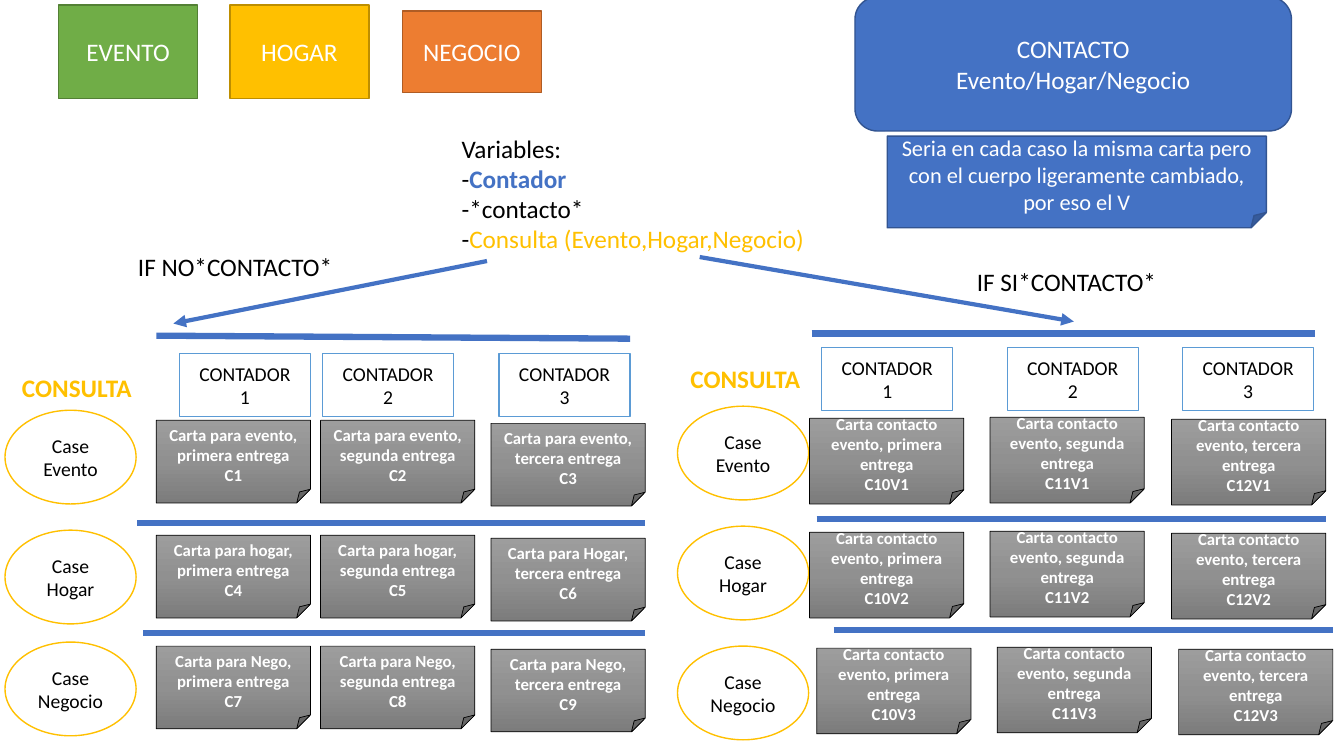
from copy import deepcopy

from lxml.etree import SubElement
from pptx import Presentation
from pptx.dml.color import RGBColor
from pptx.enum.shapes import MSO_CONNECTOR, MSO_SHAPE
from pptx.enum.text import MSO_ANCHOR, MSO_AUTO_SIZE, PP_ALIGN
from pptx.oxml.ns import qn
from pptx.util import Inches, Pt

WHITE = RGBColor(0xFF, 0xFF, 0xFF)
BLACK = RGBColor(0, 0, 0)
BLUE = RGBColor(0x44, 0x72, 0xC4)
NAVY = RGBColor(0x32, 0x54, 0x91)
SKY = RGBColor(0x5B, 0x9B, 0xD5)
GOLD = RGBColor(0xFF, 0xC0, 0x00)
OCHRE = RGBColor(0xBD, 0x8E, 0x00)
GREEN = RGBColor(0x70, 0xAD, 0x47)
MOSS = RGBColor(0x53, 0x80, 0x35)
ORANGE = RGBColor(0xED, 0x7D, 0x31)
RUST = RGBColor(0xAF, 0x5C, 0x24)
GRAYS = [RGBColor(0x9D, 0x9D, 0x9D), RGBColor(0x90, 0x90, 0x90),
         RGBColor(0x7C, 0x7C, 0x7C)]

deck = Presentation()
deck.slide_width, deck.slide_height = Inches(13.33), Inches(7.5)
slide = deck.slides.add_slide(deck.slide_layouts[6])


def put(kind, at, paras, size, ink, fill=None, edge=None, bold=False, wrap=True):
    """Add a preset shape, or a text box if kind is None.

    A paragraph is a list of runs: (text, colour, bold).
    A plain string is one run in the default ink.
    """
    area = [Inches(n) for n in at]
    if kind is None:
        shape = slide.shapes.add_textbox(*area)
    else:
        shape = slide.shapes.add_shape(kind, *area)
        shape.shadow.inherit = False
        shape.line.color.rgb = edge
        shape.line.width = Pt(0.5 if fill is GRAYS else 1)
        if fill is GRAYS:
            shape.fill.gradient()
            shape.fill.gradient_angle = 270
            stops = shape.element.spPr.find(qn("a:gradFill")).find(qn("a:gsLst"))
            stops.insert(1, deepcopy(stops[0]))
            for i, stop in enumerate(shape.fill.gradient_stops):
                stop.color.rgb = GRAYS[i]
                stop.position = i / 2
        else:
            shape.fill.solid()
            shape.fill.fore_color.rgb = fill
    frame = shape.text_frame
    frame.word_wrap = wrap
    if kind is None:
        frame.auto_size = MSO_AUTO_SIZE.SHAPE_TO_FIT_TEXT
    else:
        frame.vertical_anchor = MSO_ANCHOR.MIDDLE
    for i, runs in enumerate(paras):
        para = frame.add_paragraph() if i else frame.paragraphs[0]
        para.alignment = PP_ALIGN.LEFT if kind is None else PP_ALIGN.CENTER
        for text, color, heavy in [(runs, ink, bold)] if isinstance(runs, str) else runs:
            run = para.add_run()
            run.text = text
            run.font.name = "Calibri"
            run.font.size = Pt(size)
            run.font.bold = heavy
            run.font.color.rgb = color


def draw(start, end, width, arrow=False):
    line = slide.shapes.add_connector(
        MSO_CONNECTOR.STRAIGHT, *[Inches(n) for n in start + end])
    line.line.color.rgb = BLUE
    line.line.width = Pt(width)
    if arrow:
        SubElement(line.line._get_or_add_ln(), qn("a:tailEnd"), type="triangle")
    SubElement(line.element.spPr, qn("a:effectLst"))


# Legend and contact header
for name, at, fill, edge in [
    ("EVENTO", (0.58, 0.05, 1.38, 0.93), GREEN, MOSS),
    ("HOGAR", (2.28, 0.05, 1.38, 0.93), GOLD, OCHRE),
    ("NEGOCIO", (3.99, 0.11, 1.38, 0.81), ORANGE, RUST),
]:
    put(MSO_SHAPE.RECTANGLE, at, [name], 18, WHITE, fill, edge)
put(MSO_SHAPE.ROUNDED_RECTANGLE, (8.48, -0.03, 4.33, 1.33),
    ["CONTACTO", "Evento/Hogar/Negocio"], 18, WHITE, BLUE, NAVY)
put(MSO_SHAPE.FOLDED_CORNER, (8.8, 1.35, 3.76, 0.91),
    ["Seria en cada caso la misma carta pero con el cuerpo ligeramente "
     "cambiado, por eso el V"], 16, WHITE, BLUE, NAVY)

# Variables and the two branches
put(None, (4.48, 1.27, 3.67, 1.31), [
    "Variables:",
    [("-", BLACK, False), ("Contador", BLUE, True)],
    "-*contacto*",
    [("-", BLACK, False), ("Consulta (Evento,Hogar,Negocio)", GOLD, False)],
], 18, BLACK)
draw((4.83, 2.59), (1.72, 3.21), 3, arrow=True)
draw((6.94, 2.55), (10.65, 3.19), 3, arrow=True)
put(None, (1.27, 2.44, 2.15, 0.4), ["IF NO*CONTACTO*"], 18, BLACK, wrap=False)
put(None, (9.59, 2.59, 2, 0.4), ["IF SI*CONTACTO*"], 18, BLACK, wrap=False)

# Query titles, cases and counters of both grids
CASES = ["Evento", "Hogar", "Negocio"]
for title, left, tops, head, cols in [
    ((0.12, 3.64), 0.05, (4.07, 5.26, 6.37), 3.51, (1.78, 3.2, 4.95)),
    ((6.75, 3.56), 6.72, (4.03, 5.22, 6.41), 3.45, (8.15, 9.99, 11.73)),
]:
    put(None, (*title, 1.3, 0.4), ["CONSULTA"], 18, GOLD, bold=True)
    for name, top in zip(CASES, tops):
        put(MSO_SHAPE.OVAL, (left, top, 1.3, 0.93), ["Case", name],
            14, BLACK, WHITE, GOLD)
    for i, x in enumerate(cols):
        put(MSO_SHAPE.RECTANGLE, (x, head, 1.3, 0.62), ["CONTADOR", str(i + 1)],
            14, BLACK, WHITE, SKY)

# Letters
cards = []
ORDER = ["primera", "segunda", "tercera"]
for row, topic in enumerate(["evento", "hogar", "Nego"]):
    for col, rank in enumerate(ORDER):
        word = "Hogar" if (row, col) == (1, 2) else topic
        x = (1.55, 3.18, 4.87)[col]
        y = (4.17, 5.31, 6.41)[row] + (0, 0, 0.03)[col]
        cards.append((x, y, 0.82, f"Carta para {word}, {rank} entrega",
                      f"C{3 * row + col + 1}"))
        x = (8.03, 9.82, 11.62)[col] + (0, 0, 0.07)[row]
        y = (4.15, 5.28, 6.43)[row] + (0, -0.01, 0.01)[col]
        cards.append((x, y, 0.85, f"Carta contacto evento, {rank} entrega",
                      f"C{10 + col}V{row + 1}"))
for x, y, height, text, code in cards:
    put(MSO_SHAPE.FOLDED_CORNER, (x, y, 1.53, height), [text, code],
        12, WHITE, GRAYS, BLACK, bold=True)

# Row rules
for x1, y1, x2, y2 in [
    (1.55, 3.33, 6.25, 3.36), (1.36, 5.19, 6.4, 5.19), (1.42, 6.28, 6.4, 6.28),
    (8.05, 3.31, 13.04, 3.31), (8.1, 5.15, 13.15, 5.15), (8.27, 6.25, 13.22, 6.25),
]:
    draw((x1, y1), (x2, y2), 4.5)

deck.save("out.pptx")
